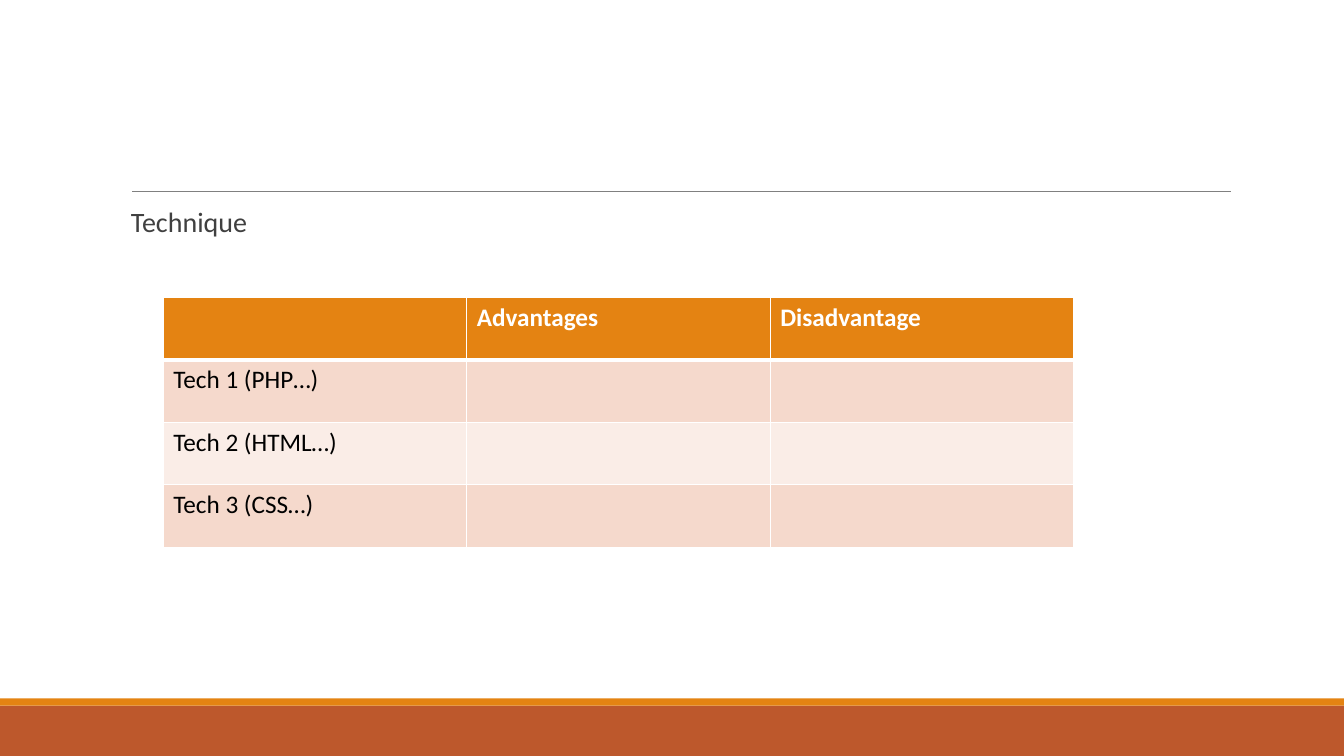
from lxml import etree
from pptx import Presentation, util as u
from pptx.dml.color import RGBColor
from pptx.enum import shapes
from pptx.oxml.ns import qn

# Content
HEADING = "Technique"
COMPARISON = [
    ("", "Advantages", "Disadvantage"),
    ("Tech 1 (PHP…)", "", ""),
    ("Tech 2 (HTML…)", "", ""),
    ("Tech 3 (CSS…)", "", ""),
]

# Colours
WHITE = RGBColor(0xFF, 0xFF, 0xFF)
BLACK = RGBColor(0x00, 0x00, 0x00)
CHARCOAL = RGBColor(0x40, 0x40, 0x40)
GRAY = RGBColor(0x80, 0x80, 0x80)
RUST = RGBColor(0xBD, 0x58, 0x2C)
ORANGE = RGBColor(0xE4, 0x83, 0x12)
BANDS = (RGBColor(0xF5, 0xD9, 0xCC), RGBColor(0xFA, 0xED, 0xE7))

# Layout in inches
WIDTH, HEIGHT = 13.33, 7.5
FOOTER_TOP, STRIPE = 7, 0.07
RULE_LEFT, RULE_RIGHT, RULE_Y = 1.31, 12.21, 1.9
TABLE_LEFT, TABLE_TOP = 1.62, 2.95
COLUMN, ROW = 3.01, 0.62


def write(frame, words, size=18, color=BLACK, bold=False, line_spacing=None):
    paragraph = frame.paragraphs[0]
    paragraph.line_spacing = line_spacing
    font = paragraph.font
    if words:
        run = paragraph.add_run()
        run.text = words
        font = run.font
    font.name, font.size, font.bold = "Calibri", u.Pt(size), bold
    font.color.rgb = color


def add_band(slide, top, height, color):
    band = slide.shapes.add_shape(
        shapes.MSO_SHAPE.RECTANGLE, 0, u.Inches(top), u.Inches(WIDTH), u.Inches(height))
    band.shadow.inherit = False
    band.fill.solid()
    band.fill.fore_color.rgb = color
    band.line.fill.background()


def set_borders(cell, **widths):
    properties = cell._tc.get_or_add_tcPr()
    for position, side in enumerate(("L", "R", "T", "B")):
        border = etree.Element(qn(f"a:ln{side}"), w=str(u.Pt(widths.get(side, 1))))
        fill = etree.SubElement(border, qn("a:solidFill"))
        etree.SubElement(fill, qn("a:srgbClr"), val=str(WHITE))
        properties.insert(position, border)


def add_comparison(slide):
    rows, columns = len(COMPARISON), len(COMPARISON[0])
    table = slide.shapes.add_table(
        rows, columns, u.Inches(TABLE_LEFT), u.Inches(TABLE_TOP),
        u.Inches(COLUMN * columns), u.Inches(ROW * rows)).table
    for r, entries in enumerate(COMPARISON):
        header = r == 0
        for c, entry in enumerate(entries):
            cell = table.cell(r, c)
            cell.fill.solid()
            cell.fill.fore_color.rgb = ORANGE if header else BANDS[(r - 1) % 2]
            # The heavy edge under the header belongs to both rows
            set_borders(cell, B=3 if header else 1, T=3 if r == 1 else 1)
            write(cell.text_frame, entry, color=WHITE if header else BLACK, bold=header)


def main():
    deck = Presentation()
    deck.slide_width, deck.slide_height = u.Inches(WIDTH), u.Inches(HEIGHT)
    slide = deck.slides.add_slide(deck.slide_layouts[6])

    # Footer bands
    add_band(slide, FOOTER_TOP, HEIGHT - FOOTER_TOP, RUST)
    add_band(slide, FOOTER_TOP - STRIPE, STRIPE, ORANGE)

    # Rule under the title area
    rule = slide.shapes.add_connector(
        shapes.MSO_CONNECTOR.STRAIGHT, u.Inches(RULE_LEFT), u.Inches(RULE_Y),
        u.Inches(RULE_RIGHT), u.Inches(RULE_Y))
    rule.line.color.rgb = GRAY
    rule.line.width = u.Pt(0.5)
    etree.SubElement(rule._element.spPr, qn("a:effectLst"))

    # Heading
    heading = slide.shapes.add_textbox(
        u.Inches(1.2), u.Inches(2.02), u.Inches(11), u.Inches(4.4)).text_frame
    heading.word_wrap = True
    heading.margin_left, heading.margin_right = u.Inches(0.1), 0
    write(heading, HEADING, size=20, color=CHARCOAL, line_spacing=0.9)

    # Comparison table
    add_comparison(slide)
    deck.save("out.pptx")


if __name__ == "__main__":
    main()
